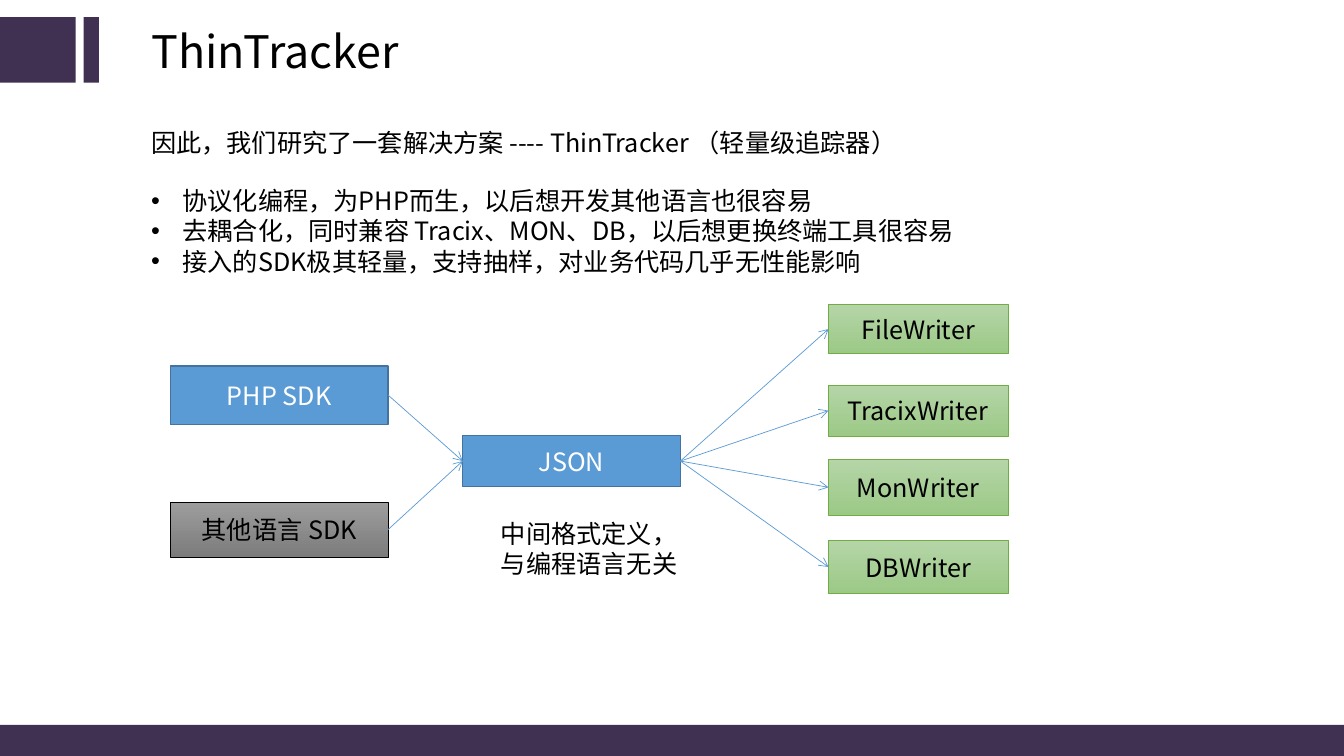
from dataclasses import dataclass

from pptx import Presentation
from pptx.dml.color import RGBColor
from pptx.enum import shapes, text
from pptx.oxml import ns, xmlchemy
from pptx.util import Pt


@dataclass(frozen=True)
class Theme:
    """Colours, font and type sizes of the deck."""
    font: str = "Noto Sans CJK SC"
    title: float = 32
    body: float = 18
    black: str = "000000"
    white: str = "FFFFFF"
    band: str = "403152"
    arrow: str = "5B9BD5"
    blue: tuple = (("5B9BD5",), "43739E", 1)
    grey: tuple = (("9D9D9D", "7C7C7C"), "000000", 0.5)
    green: tuple = (("B5D5A7", "9CC987"), "70AD47", 0.5)


T = Theme()


def rgb(value):
    """Turn a hex string into a colour."""
    return RGBColor.from_string(value)


def set_attrs(obj, values):
    """Set each attribute named in a dict."""
    for name, value in values.items():
        setattr(obj, name, value)


def sub(parent, tag, **attrs):
    """Append a DrawingML child element."""
    el = xmlchemy.OxmlElement(tag)
    for name, value in attrs.items():
        el.set(name, value)
    parent.append(el)
    return el


def write(sp, lines, size=T.body, color=T.black, align=text.PP_ALIGN.LEFT,
          anchor=text.MSO_ANCHOR.TOP, bullet=False):
    """Fill a shape with formatted paragraphs."""
    tf = sp.text_frame
    set_attrs(tf, {"word_wrap": True, "vertical_anchor": anchor,
                   "auto_size": text.MSO_AUTO_SIZE.NONE})
    for i, line in enumerate(lines):
        p = tf.paragraphs[0] if i == 0 else tf.add_paragraph()
        p.alignment = align
        if bullet:
            pPr = p._p.get_or_add_pPr()
            pPr.set("marL", str(Pt(22.5)))
            pPr.set("indent", str(-Pt(22.5)))
            sub(pPr, "a:buFont", typeface="Arial")
            sub(pPr, "a:buChar", char="•")
        r = p.add_run()
        r.text = line
        set_attrs(r.font, {"name": T.font, "size": Pt(size)})
        r.font.color.rgb = rgb(color)
        sub(r._r.get_or_add_rPr(), "a:ea", typeface=T.font)


def add_rect(s, box, style):
    """Add a rectangle with a plain or gradient fill."""
    colors, line, width = style
    sp = s.shapes.add_shape(shapes.MSO_SHAPE.RECTANGLE, *map(Pt, box))
    sp.shadow.inherit = False
    if len(colors) == 1:
        sp.fill.solid()
        sp.fill.fore_color.rgb = rgb(colors[0])
    else:
        sp.fill.gradient()
        sp.fill.gradient_angle = 270
        for stop, color in zip(sp.fill.gradient_stops, colors):
            stop.color.rgb = rgb(color)
    if line:
        sp.line.color.rgb = rgb(line)
        sp.line.width = Pt(width)
    else:
        sp.line.fill.background()
    return sp


def add_node(s, box, label, style, color=T.black):
    """Add a labelled box of the diagram."""
    sp = add_rect(s, box, style)
    write(sp, [label], color=color, align=text.PP_ALIGN.CENTER,
          anchor=text.MSO_ANCHOR.MIDDLE)
    return sp


def add_arrow(s, start, end):
    """Join the right side of one box to the left side of another."""
    c = s.shapes.add_connector(shapes.MSO_CONNECTOR.STRAIGHT, 0, 0, 0, 0)
    c.begin_connect(start, 3)
    c.end_connect(end, 1)
    c.line.color.rgb = rgb(T.arrow)
    c.line.width = Pt(0.5)
    sub(c.line._get_or_add_ln(), "a:tailEnd", type="arrow")
    sub(c._element.find(ns.qn("p:spPr")), "a:effectLst")


def add_text(s, box, lines, **fmt):
    """Add a text box."""
    write(s.shapes.add_textbox(*map(Pt, box)), lines, **fmt)


def add_frame(s, box):
    """Draw the header blocks and the footer band."""
    x, y, w, h = box
    for part in ((x, y + h - 22.3, w, 22.3), (x, y + 12.2, 54, 46.8),
                 (x + 59.8, y + 12.2, 10.8, 46.8)):
        add_rect(s, part, ((T.band,), None, 0))


def add_title(s, box, title):
    """Place and format the title placeholder."""
    sp = s.shapes.title
    set_attrs(sp, dict(zip(("left", "top", "width", "height"), map(Pt, box))))
    write(sp, [title], size=T.title)


def add_intro(s, box):
    """Write the lead sentence and the bullet list."""
    x, y, w, h = box
    add_text(s, (x, y, w, 29),
             ["因此，我们研究了一套解决方案 ---- ThinTracker （轻量级追踪器）"])
    add_text(s, (x, y + 41.8, w, h - 41.8), [
        "协议化编程，为PHP而生，以后想开发其他语言也很容易",
        "去耦合化，同时兼容 Tracix、MON、DB，以后想更换终端工具很容易",
        "接入的SDK极其轻量，支持抽样，对业务代码几乎无性能影响"], bullet=True)


def add_diagram(s, box):
    """Draw the SDKs, the shared format and the writers."""
    x, y, w, h = box
    hub = add_node(s, (x + 208.8, y + 93.6, 155.5, 36.7), "JSON", T.blue, T.white)
    sources = (("PHP SDK", 43.9, 41.8, T.blue, T.white),
               ("其他语言 SDK", 141.1, 39.6, T.grey, T.black))
    for label, top, height, style, color in sources:
        node = add_node(s, (x, y + top, 155.5, height), label, style, color)
        add_arrow(s, node, hub)
    writers = (("FileWriter", 0, 35.3), ("TracixWriter", 57.6, 36.7),
               ("MonWriter", 110.9, 39.6), ("DBWriter", 168.5, 38.2))
    for label, top, height in writers:
        node = add_node(s, (x + w - 128.2, y + top, 128.2, height), label, T.green)
        add_arrow(s, hub, node)
    add_text(s, (x + 229, y + 149, 149, 51.1), ["中间格式定义，与编程语言无关"])


def main():
    """Build and save the deck."""
    prs = Presentation()
    set_attrs(prs, {"slide_width": Pt(960), "slide_height": Pt(540)})
    s = prs.slides.add_slide(prs.slide_layouts[5])
    add_frame(s, (0, 0, 960, 540))
    add_title(s, (100.8, 13, 282.2, 46), "ThinTracker")
    add_intro(s, (100.8, 87.1, 687.6, 114.5))
    add_diagram(s, (121.7, 217.4, 598.3, 206.7))
    prs.save("out.pptx")


if __name__ == "__main__":
    main()
